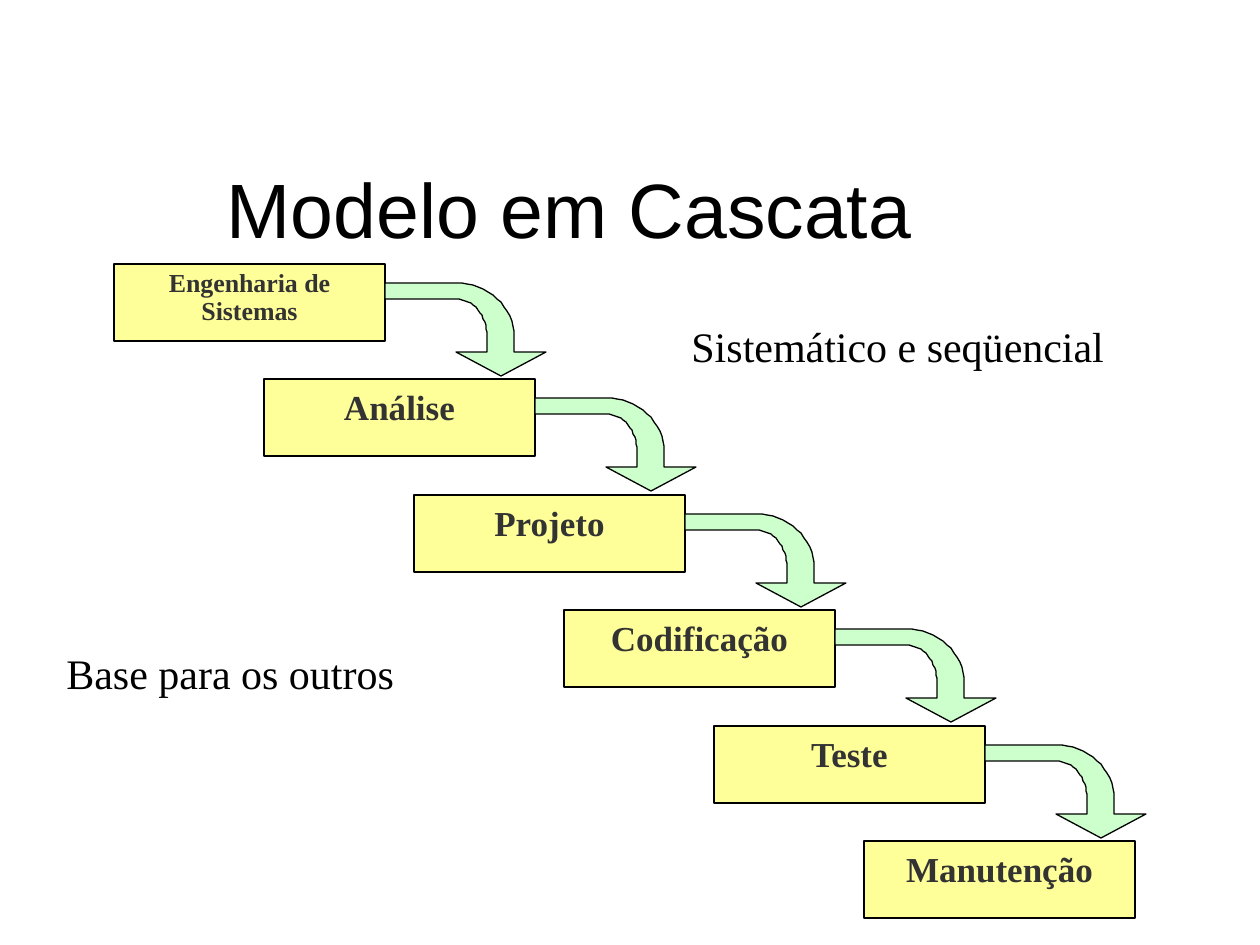
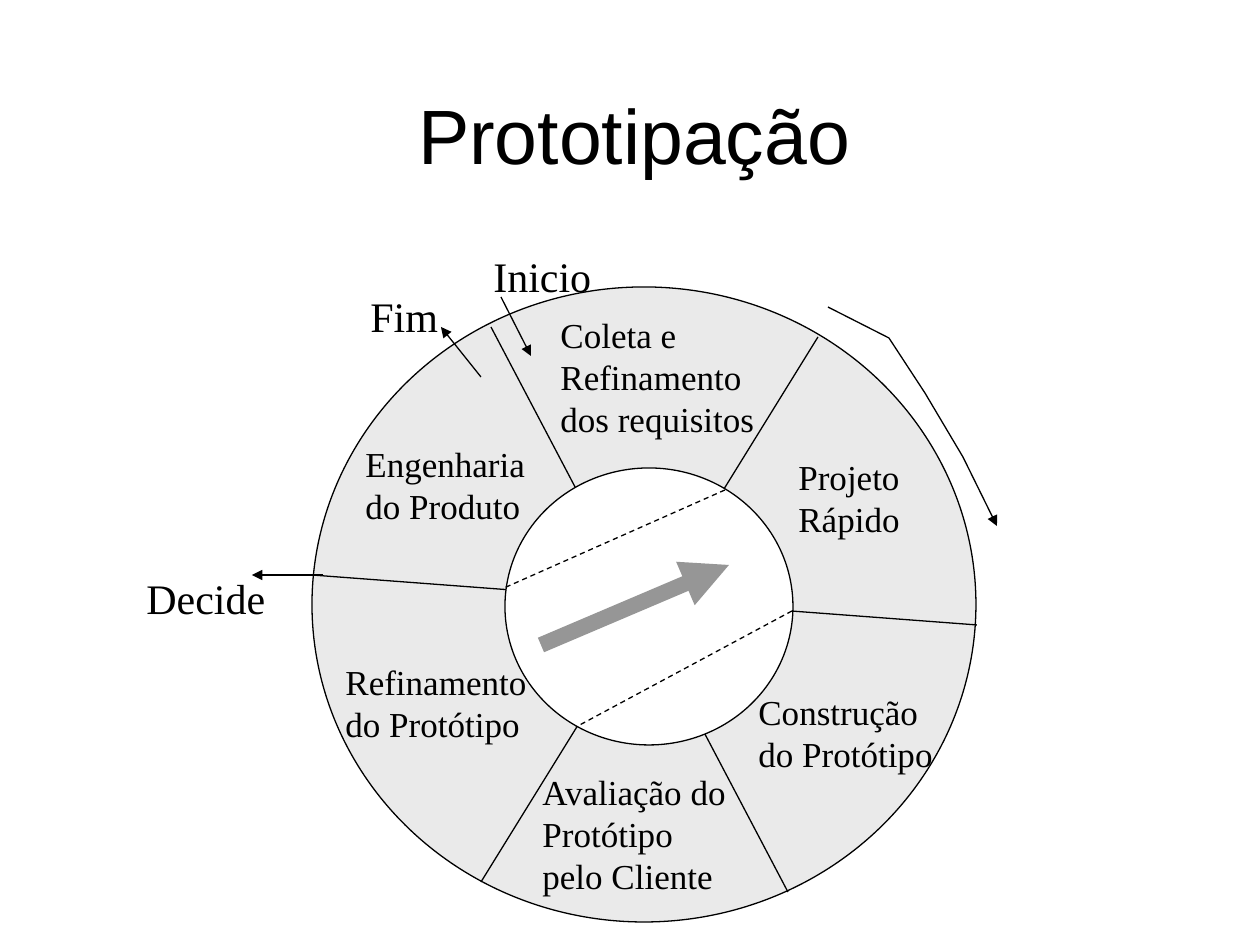
from dataclasses import dataclass
from math import cos, pi, sin

from lxml import etree
from pptx import Presentation
from pptx.dml.color import RGBColor
from pptx.enum.dml import MSO_LINE_DASH_STYLE
from pptx.enum.shapes import MSO_CONNECTOR, MSO_SHAPE
from pptx.enum.text import MSO_ANCHOR, MSO_AUTO_SIZE, PP_ALIGN
from pptx.oxml.ns import qn
from pptx.util import Pt

PX = 914400 // 126
RECTANGLE = MSO_SHAPE.RECTANGLE
OVAL = MSO_SHAPE.OVAL
STRAIGHT = MSO_CONNECTOR.STRAIGHT
DASH = MSO_LINE_DASH_STYLE.DASH
CENTER = PP_ALIGN.CENTER
LEFT = PP_ALIGN.LEFT
TOP = MSO_ANCHOR.TOP
MIDDLE = MSO_ANCHOR.MIDDLE
GROW = MSO_AUTO_SIZE.SHAPE_TO_FIT_TEXT
FIXED = MSO_AUTO_SIZE.NONE


@dataclass(frozen=True)
class Theme:
    black: RGBColor = RGBColor(0x00, 0x00, 0x00)
    white: RGBColor = RGBColor(0xFF, 0xFF, 0xFF)
    stage_text: RGBColor = RGBColor(0x33, 0x33, 0x33)
    stage_fill: RGBColor = RGBColor(0xFF, 0xFF, 0x99)
    flow_fill: RGBColor = RGBColor(0xCC, 0xFF, 0xCC)
    ring_fill: RGBColor = RGBColor(0xEA, 0xEA, 0xEA)
    direction: RGBColor = RGBColor(0x96, 0x96, 0x96)
    heading_font: str = "Arial"
    body_font: str = "Times New Roman"
    title_size: float = 44
    label_size: float = 24
    body_size: float = 20
    small_size: float = 14.8
    outline: float = 0.75
    direction_width: float = 9


THEME = Theme()


def write_text(shape, text, size=THEME.body_size, font=THEME.body_font, color=THEME.black,
               bold=False, align=LEFT, anchor=TOP, wrap=True, fit=FIXED, spacing=None):
    frame = shape.text_frame
    frame.text = text
    frame.word_wrap = wrap
    frame.auto_size = fit
    frame.vertical_anchor = anchor
    for paragraph in frame.paragraphs:
        paragraph.alignment = align
        paragraph.line_spacing = spacing
        paragraph.font.name = font
        paragraph.font.size = Pt(size)
        paragraph.font.bold = bold
        paragraph.font.color.rgb = color


def style_shape(shape, fill=None, line=THEME.black, width=THEME.outline, dash=None, arrow=False):
    shape.line.color.rgb = line
    shape.line.width = Pt(width)
    if dash:
        shape.line.dash_style = dash
    properties = shape.element.spPr
    if arrow:
        etree.SubElement(properties.find(qn("a:ln")), qn("a:tailEnd"), type="triangle")
    if hasattr(shape, "shadow"):
        shape.shadow.inherit = False
    else:
        etree.SubElement(properties, qn("a:effectLst"))
    if fill:
        shape.fill.solid()
        shape.fill.fore_color.rgb = fill
    elif hasattr(shape, "fill"):
        shape.fill.background()


presentation = Presentation()
presentation.slide_width = 1260 * PX
presentation.slide_height = 945 * PX
title_only = presentation.slide_layouts[5]

slides = []
for heading, top, width in [("Modelo em Cascata", 129, 1071), ("Prototipação", 55, 1201)]:
    slide = presentation.slides.add_slide(title_only)
    title = slide.shapes.title
    title.left, title.top, title.width, title.height = 34 * PX, top * PX, width * PX, 158 * PX
    write_text(title, heading, size=THEME.title_size, font=THEME.heading_font,
               align=CENTER, anchor=MIDDLE)
    slides.append(slide)
waterfall, prototyping = slides

stages = ["Engenharia de Sistemas", "Análise", "Projeto", "Codificação", "Teste", "Manutenção"]
stage_width, stage_height = 271, 77
quarter = [step * pi / 32 for step in range(17)]
outer_bend = [(71 + 58 * sin(angle), 72 - 53 * cos(angle)) for angle in quarter]
inner_bend = [(71 + 31 * sin(angle), 72 - 37 * cos(angle)) for angle in reversed(quarter)]
flow_outline = [(0, 19), *outer_bend, (129, 88), (161, 88), (116, 112), (71, 88), (102, 88),
                *inner_bend, (0, 35)]

for index, stage in enumerate(stages):
    left, top = 114 + 150 * index, 264 + 231 * index // 2
    box = waterfall.shapes.add_shape(RECTANGLE, left * PX, top * PX,
                                     stage_width * PX, stage_height * PX)
    style_shape(box, fill=THEME.stage_fill)
    first = index == 0
    write_text(box, stage, size=THEME.small_size if first else THEME.body_size,
               color=THEME.stage_text, bold=True, align=CENTER, spacing=0.9 if first else None)
    if index < len(stages) - 1:
        points = [(left + stage_width + x, top + y) for x, y in flow_outline]
        builder = waterfall.shapes.build_freeform(*points[0], scale=PX)
        builder.add_line_segments(points[1:], close=True)
        style_shape(builder.convert_to_shape(), fill=THEME.flow_fill)

for left, top, width, height, fill in [(312, 287, 664, 635, THEME.ring_fill),
                                       (505, 468, 288, 277, THEME.white)]:
    ring = prototyping.shapes.add_shape(OVAL, left * PX, top * PX, width * PX, height * PX)
    style_shape(ring, fill=fill)
    if fill == THEME.ring_fill:
        for ends in [(491, 327, 788, 892), (818, 337, 481, 882), (312, 575, 977, 625)]:
            spoke = prototyping.shapes.add_connector(STRAIGHT, *[end * PX for end in ends])
            style_shape(spoke)

direction_format = {"line": THEME.direction, "width": THEME.direction_width, "arrow": True}
for ends, line_format in [
    ((725, 490, 504, 588), {"dash": DASH}),
    ((792, 611, 576, 727), {"dash": DASH}),
    ((541, 645, 729, 565), direction_format),
    ((481, 377, 441, 327), {"arrow": True}),
    ((501, 297, 531, 356), {"arrow": True}),
    ((323, 575, 252, 575), {"arrow": True}),
]:
    connector = prototyping.shapes.add_connector(STRAIGHT, *[end * PX for end in ends])
    style_shape(connector, **line_format)

cycle = prototyping.shapes.build_freeform(828, 307, scale=PX)
cycle.add_line_segments([(889, 338), (925, 393), (963, 457), (997, 526)], close=False)
style_shape(cycle.convert_to_shape(), arrow=True)

for slide, text, left, top, width in [
    (waterfall, "Sistemático e seqüencial", 679, 314, 438),
    (waterfall, "Base para os outros", 54, 641, 353),
    (prototyping, "Inicio", 481, 244, 123),
    (prototyping, "Fim", 358, 284, 93),
    (prototyping, "Decide", 134, 566, 154),
]:
    label = slide.shapes.add_textbox(left * PX, top * PX, width * PX, 63 * PX)
    write_text(label, text, size=THEME.label_size, wrap=False, fit=GROW)

for text, left, top, height in [
    ("Coleta e Refinamento dos requisitos", 548, 307, 139),
    ("Projeto Rápido", 786, 449, 97),
    ("Construção\ndo Protótipo", 746, 684, 97),
    ("Avaliação do Protótipo pelo Cliente", 530, 764, 139),
    ("Refinamento do Protótipo", 333, 654, 97),
    ("Engenharia do Produto", 353, 436, 97),
]:
    sector = prototyping.shapes.add_textbox(left * PX, top * PX, 222 * PX, height * PX)
    write_text(sector, text, fit=GROW)

presentation.save("out.pptx")
